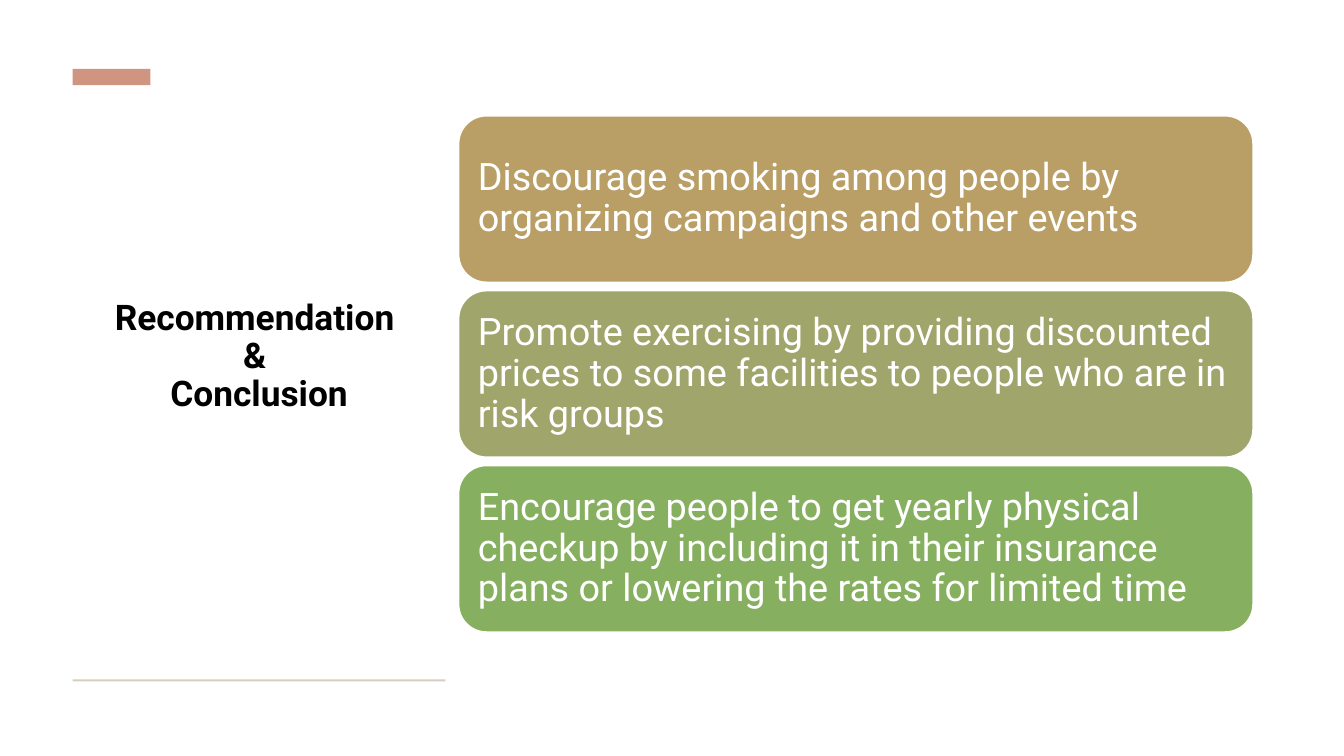
from pptx import Presentation
from pptx.dml.color import RGBColor
from pptx.enum.shapes import MSO_SHAPE
from pptx.enum.text import MSO_ANCHOR, MSO_AUTO_SIZE, PP_ALIGN
from pptx.util import Inches, Pt

RECTANGLE, ROUNDED = MSO_SHAPE.RECTANGLE, MSO_SHAPE.ROUNDED_RECTANGLE
MIDDLE, NO_FIT = MSO_ANCHOR.MIDDLE, MSO_AUTO_SIZE.NONE
LEFT, CENTER = PP_ALIGN.LEFT, PP_ALIGN.CENTER
TITLE_ONLY = 5

COLORS = {
    "title": "000000", "white": "FFFFFF",
    "accent": "D09580", "rule": "D9CDBD",
    "sand": "B99F66", "olive": "A0A66B", "green": "86AF60",
}
HEADING = ("Recommendation ", "& ", "Conclusion")
RECOMMENDATIONS = (
    ("sand", "Discourage smoking among people by organizing campaigns and other events"),
    ("olive", "Promote exercising by providing discounted prices to some facilities "
              "to people who are in risk groups"),
    ("green", "Encourage people to get yearly physical checkup by including it in "
              "their insurance plans or lowering the rates for limited time"),
)

# Grid of 100 columns by 100 rows
MARGIN, SIDE_WIDTH = 5.4, 27.75
CARD_LEFT, CARD_TOP, CARD_WIDTH, CARD_HEIGHT, CARD_GAP = 34.13, 15.33, 59.1, 22, 1.13


def color(name):
    return RGBColor.from_string(COLORS[name])


class SlideBuilder:
    title_font = {"name": "Roboto", "size": Pt(25.2), "bold": True}
    card_font = {"name": "Roboto", "size": Pt(27), "bold": False}
    card_frame = {"word_wrap": True, "vertical_anchor": MIDDLE,
                  **{f"margin_{side}": Inches(0.11)
                     for side in ("left", "top", "right", "bottom")}}
    title_frame = {"word_wrap": True, "vertical_anchor": MIDDLE, "auto_size": NO_FIT}

    def __init__(self, deck):
        self.column = deck.slide_width / 100
        self.row = deck.slide_height / 100
        self.slide = deck.slides.add_slide(deck.slide_layouts[TITLE_ONLY])

    def place(self, left, top, width, height):
        return (round(left * self.column), round(top * self.row),
                round(width * self.column), round(height * self.row))

    def apply(self, target, values):
        for key, value in values.items():
            setattr(target, key, value)

    def fill_text(self, frame, lines, frame_values, font_values, font_color, align):
        self.apply(frame, frame_values)
        paragraph = frame.paragraphs[0]
        self.apply(paragraph, {"alignment": align, "line_spacing": 0.9})
        for number, line in enumerate(lines):
            if number:
                paragraph.add_line_break()
            run = paragraph.add_run()
            run.text = line
            self.apply(run.font, font_values)
            run.font.color.rgb = color(font_color)

    def title(self, lines, *area):
        heading = self.slide.shapes.title
        position = zip(("left", "top", "width", "height"), self.place(*area))
        self.apply(heading, dict(position))
        self.fill_text(heading.text_frame, lines, self.title_frame,
                       self.title_font, "title", CENTER)

    def block(self, fill, *area, kind=RECTANGLE):
        block = self.slide.shapes.add_shape(kind, *self.place(*area))
        block.shadow.inherit = False
        block.fill.solid()
        block.fill.fore_color.rgb = color(fill)
        block.line.fill.background()
        return block

    def card(self, fill, text, *area):
        card = self.block(fill, *area, kind=ROUNDED)
        card.line.color.rgb = color("white")
        card.line.width = Pt(1)
        self.fill_text(card.text_frame, (text,), self.card_frame,
                       self.card_font, "white", LEFT)


def main():
    deck = Presentation()
    deck.slide_width, deck.slide_height = Inches(13.33), Inches(7.5)
    builder = SlideBuilder(deck)

    # Heading column with its accent bar and base rule
    builder.title(HEADING, MARGIN, 39.07, SIDE_WIDTH, 16.27)
    builder.block("accent", MARGIN, 9.13, 5.8, 2.13)
    builder.block("rule", MARGIN, 89.87, SIDE_WIDTH, 0.27)

    # Stack of recommendations
    for index, (fill, advice) in enumerate(RECOMMENDATIONS):
        card_top = CARD_TOP + index * (CARD_HEIGHT + CARD_GAP)
        builder.card(fill, advice, CARD_LEFT, card_top, CARD_WIDTH, CARD_HEIGHT)

    deck.save("out.pptx")


if __name__ == "__main__":
    main()
